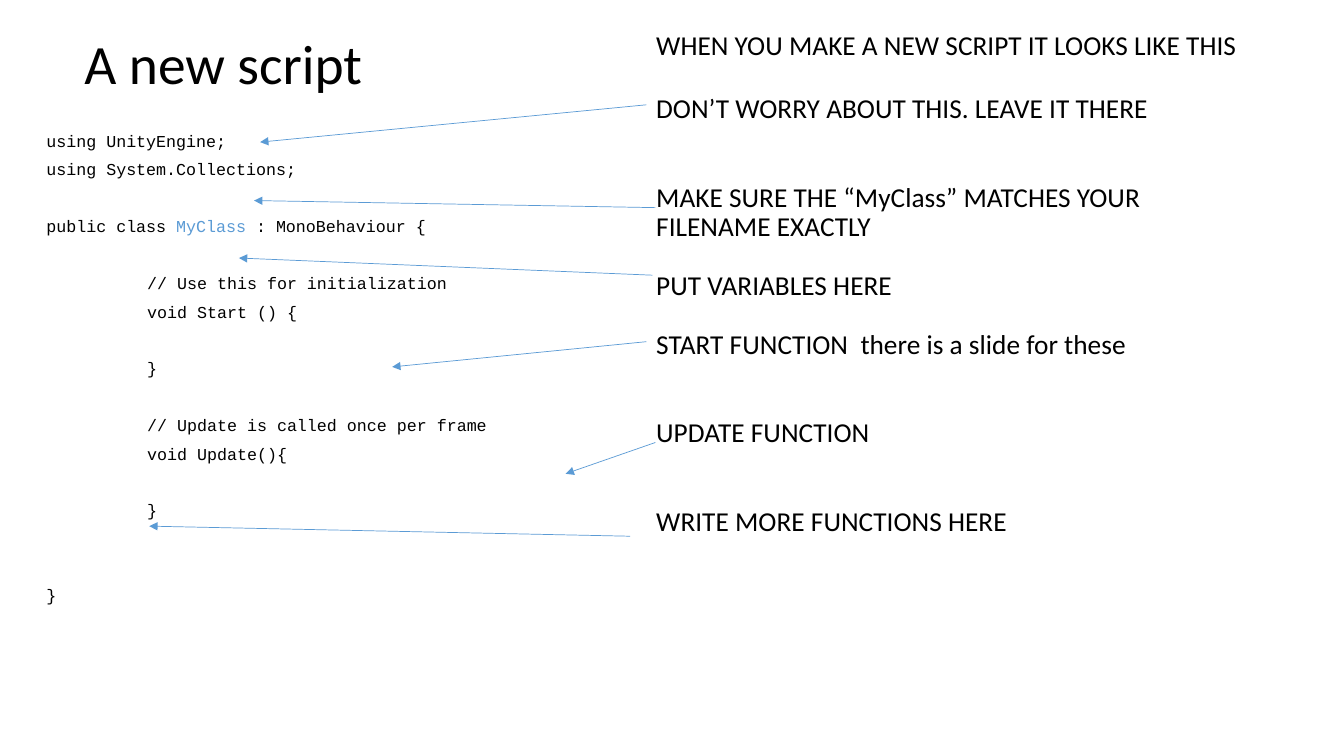
from dataclasses import dataclass

from lxml import etree
from pptx import Presentation
from pptx import util as u
from pptx.dml.color import RGBColor
from pptx.enum import shapes, text
from pptx.oxml.ns import qn

BLACK = "000000"
BLUE = "5B9BD5"
CODE_SPACE = 10.5  # points above each line of code
CODE_ROW = 20  # points taken by one line of code

CODE_FORMAT = {"name": "Courier New", "size": u.Pt(11.9)}
NOTE_FORMAT = {"name": "Calibri", "size": u.Pt(19.5)}
TITLE_FORMAT = {"name": "Calibri", "size": u.Pt(39.6), "bold": False}


@dataclass
class CodeLine:
    segments: list[tuple[str, str]]
    rows_above: int = 0
    indent: float = 0


@dataclass
class Note:
    wording: str
    space_above: float = 0


@dataclass
class Arrow:
    start: tuple[float, float]
    end: tuple[float, float]


def code(wording: str, rows_above: int = 0, indent: float = 0) -> CodeLine:
    return CodeLine([(wording, BLACK)], rows_above, indent)


CODE_LINES = [
    code("using UnityEngine;"),
    code("using System.Collections;"),
    CodeLine([("public class ", BLACK), ("MyClass ", BLUE),
              (": MonoBehaviour {", BLACK)], 1),
    code("// Use this for initialization", 1, 1),
    code("void Start () {", 0, 1),
    code("}", 1, 1),
    code("// Update is called once per frame", 1, 1),
    code("void Update(){", 0, 1),
    code("}", 1, 1),
    code("}", 2),
]

NOTES = [
    Note("WHEN YOU MAKE A NEW SCRIPT IT LOOKS LIKE THIS"),
    Note("DON’T WORRY ABOUT THIS. LEAVE IT THERE", 24),
    Note("MAKE SURE THE “MyClass” MATCHES YOUR FILENAME EXACTLY", 42),
    Note("PUT VARIABLES HERE", 21),
    Note("START FUNCTION  there is a slide for these", 21),
    Note("UPDATE FUNCTION", 42),
    Note("WRITE MORE FUNCTIONS HERE", 42),
]

ARROWS = [
    Arrow((6.41, 1.04), (2.58, 1.41)),
    Arrow((6.5, 2.06), (2.52, 1.99)),
    Arrow((6.47, 2.73), (2.37, 2.56)),
    Arrow((6.41, 3.39), (3.89, 3.64)),
    Arrow((6.5, 4.39), (5.61, 4.7)),
    Arrow((6.25, 5.32), (1.48, 5.22)),
]


def color(hex_value: str) -> RGBColor:
    return RGBColor.from_string(hex_value)


def place(shape, left: float, top: float, width: float, height: float,
          anchor=text.MSO_ANCHOR.TOP) -> None:
    box = {"left": left, "top": top, "width": width, "height": height}
    for name, value in box.items():
        setattr(shape, name, u.Inches(value))
    frame_format = {"word_wrap": True, "auto_size": text.MSO_AUTO_SIZE.NONE,
                    "vertical_anchor": anchor}
    for name, value in frame_format.items():
        setattr(shape.text_frame, name, value)


def add_run(paragraph, wording: str, font_format: dict,
            hex_value: str = BLACK) -> None:
    run = paragraph.add_run()
    run.text = wording
    for name, value in font_format.items():
        setattr(run.font, name, value)
    run.font.color.rgb = color(hex_value)


def add_paragraph(frame, index: int, space_above: float, line_spacing: float,
                  alignment=text.PP_ALIGN.LEFT):
    paragraph = frame.add_paragraph() if index else frame.paragraphs[0]
    paragraph_format = {"alignment": alignment, "line_spacing": line_spacing,
                        "space_before": u.Pt(space_above), "space_after": u.Pt(0)}
    for name, value in paragraph_format.items():
        setattr(paragraph, name, value)
    return paragraph


def add_code(frame, lines: list[CodeLine]) -> None:
    for index, line in enumerate(lines):
        space = CODE_SPACE + line.rows_above * CODE_ROW
        paragraph = add_paragraph(frame, index, space, 0.7)
        properties = paragraph._p.get_or_add_pPr()
        properties.set("marL", str(u.Inches(line.indent)))
        properties.set("indent", "0")
        for wording, hex_value in line.segments:
            add_run(paragraph, wording, CODE_FORMAT, hex_value)


def add_notes(frame, notes: list[Note]) -> None:
    for index, note in enumerate(notes):
        paragraph = add_paragraph(frame, index, note.space_above, 0.9)
        add_run(paragraph, note.wording, NOTE_FORMAT)


def add_arrow(slide, arrow: Arrow) -> None:
    ends = [u.Inches(value) for value in (*arrow.start, *arrow.end)]
    connector = slide.shapes.add_connector(shapes.MSO_CONNECTOR.STRAIGHT, *ends)
    connector.line.color.rgb = color(BLUE)
    connector.line.width = u.Pt(0.5)
    properties = connector._element.spPr
    etree.SubElement(properties.find(qn("a:ln")), qn("a:tailEnd"), type="triangle")
    etree.SubElement(properties, qn("a:effectLst"))


def main() -> None:
    presentation = Presentation()
    presentation.slide_width = u.Inches(13.33)
    presentation.slide_height = u.Inches(7.5)
    slide = presentation.slides.add_slide(presentation.slide_layouts[0])

    # Script listing
    listing = slide.placeholders[1]
    place(listing, 0.36, 1.3, 6.05, 4.75)
    add_code(listing.text_frame, CODE_LINES)

    # Title
    title = slide.shapes.title
    place(title, -0.81, 0.27, 6.05, 0.74, text.MSO_ANCHOR.BOTTOM)
    heading = add_paragraph(title.text_frame, 0, 0, 0.9, text.PP_ALIGN.CENTER)
    add_run(heading, "A new script", TITLE_FORMAT)

    # Explanations beside the listing
    explanations = slide.shapes.add_textbox(0, 0, 0, 0)
    place(explanations, 6.41, 0.27, 6.05, 6.17)
    add_notes(explanations.text_frame, NOTES)

    # Arrows from explanations to code
    for arrow in ARROWS:
        add_arrow(slide, arrow)

    presentation.save("out.pptx")


if __name__ == "__main__":
    main()
